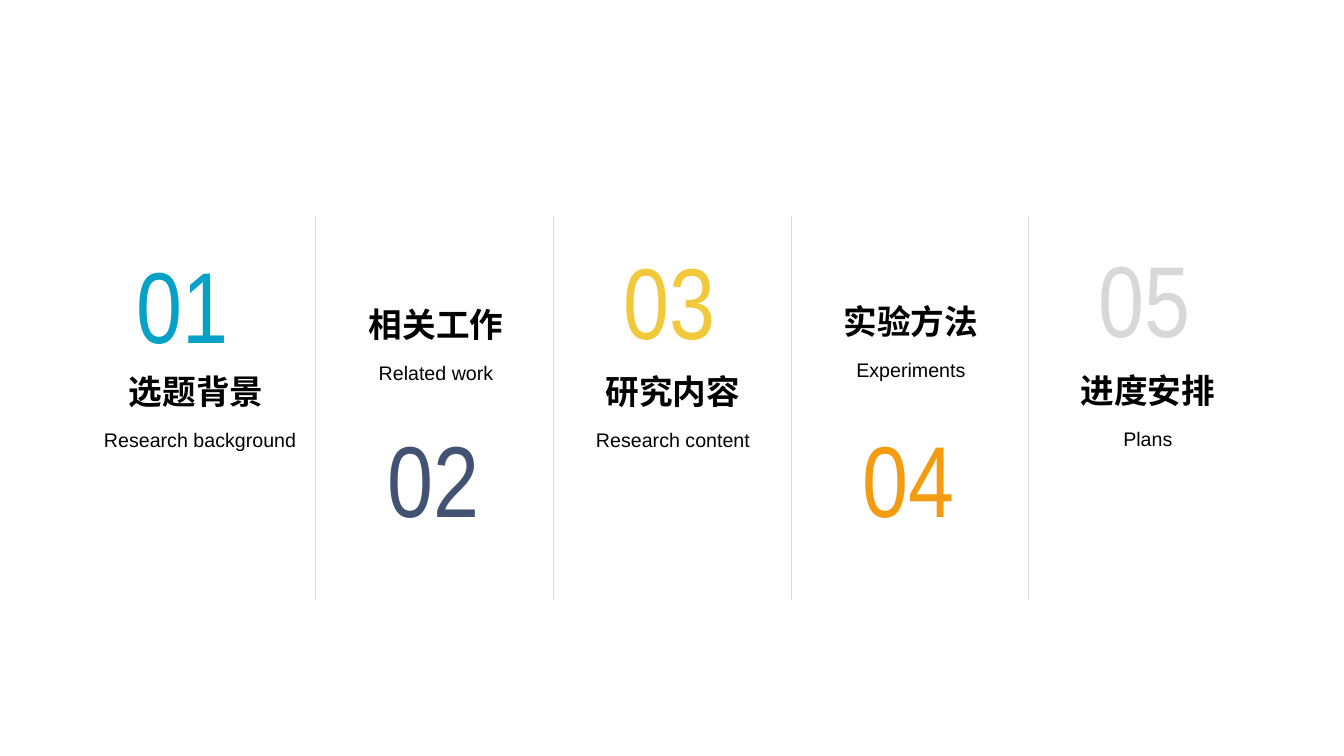
from dataclasses import dataclass

from pptx import Presentation
from pptx.dml.color import RGBColor
from pptx.enum.shapes import MSO_CONNECTOR
from pptx.enum.text import MSO_ANCHOR, PP_ALIGN
from pptx.oxml.ns import qn
from pptx.slide import Slide
from pptx.util import Inches, Pt
from lxml.etree import SubElement

COLORS = {
    "cyan": "06A1C6",
    "navy": "425272",
    "yellow": "F3C93C",
    "orange": "F39C12",
    "silver": "D8D8D8",
    "divider": "D9D9D9",
    "black": "000000",
}

NUMBER_SIZE = 1.73
LABEL_WIDTH = 2.31
HEADING_HEIGHT = 0.42
CAPTION_HEIGHT = 0.61
DIVIDER_COUNT = 4
DIVIDER_FIRST, DIVIDER_LAST = 3.13, 10.2
DIVIDER_TOP, DIVIDER_BOTTOM = 2.14, 5.95


@dataclass(frozen=True)
class Section:
    number: str
    heading: str
    caption: str
    color: str
    number_left: float
    number_top: float
    heading_left: float
    caption_left: float
    heading_top: float


@dataclass(frozen=True)
class TextStyle:
    size: int
    font: str
    anchor: MSO_ANCHOR
    bold: bool = False
    wrap: bool = False
    line_spacing: float = 1.0
    side_margin: float = 0.1
    end_margin: float = 0.05


NUMBER_STYLE = TextStyle(72, "Arial Narrow", MSO_ANCHOR.MIDDLE, side_margin=0, end_margin=0)
HEADING_STYLE = TextStyle(24, "Arial", MSO_ANCHOR.BOTTOM, bold=True)
CAPTION_STYLE = TextStyle(14, "Arial", MSO_ANCHOR.TOP, wrap=True, line_spacing=1.3)

SECTIONS = [
    Section("01", "选题背景", "Research background", "cyan", 0.95, 2.14, 0.79, 0.83, 3.71),
    Section("02", "相关工作", "Related work", "navy", 3.43, 3.87, 3.17, 3.17, 3.04),
    Section("03", "研究内容", "Research content", "yellow", 5.78, 2.1, 5.52, 5.52, 3.71),
    Section("04", "实验方法", "Experiments", "orange", 8.15, 3.87, 7.88, 7.88, 3.01),
    Section("05", "进度安排", "Plans", "silver", 10.49, 2.08, 10.23, 10.23, 3.7),
]


def add_text(slide: Slide, text: str, left: float, top: float, width: float,
             height: float, style: TextStyle, color: str) -> None:
    shape = slide.shapes.add_textbox(Inches(left), Inches(top), Inches(width), Inches(height))
    frame = shape.text_frame
    frame.word_wrap = style.wrap
    frame.vertical_anchor = style.anchor
    frame.margin_left = frame.margin_right = Inches(style.side_margin)
    frame.margin_top = frame.margin_bottom = Inches(style.end_margin)
    paragraph = frame.paragraphs[0]
    paragraph.alignment = PP_ALIGN.CENTER
    paragraph.line_spacing = style.line_spacing
    run = paragraph.add_run()
    run.text = text
    run.font.size = Pt(style.size)
    run.font.name = style.font
    run.font.bold = style.bold
    run.font.color.rgb = RGBColor.from_string(COLORS[color])


def add_section(slide: Slide, section: Section) -> None:
    add_text(slide, section.number, section.number_left, section.number_top,
             NUMBER_SIZE, NUMBER_SIZE, NUMBER_STYLE, section.color)
    add_text(slide, section.caption, section.caption_left, section.heading_top + HEADING_HEIGHT,
             LABEL_WIDTH, CAPTION_HEIGHT, CAPTION_STYLE, "black")
    add_text(slide, section.heading, section.heading_left, section.heading_top,
             LABEL_WIDTH, HEADING_HEIGHT, HEADING_STYLE, "black")


def add_divider(slide: Slide, left: float) -> None:
    connector = slide.shapes.add_connector(
        MSO_CONNECTOR.STRAIGHT, Inches(left), Inches(DIVIDER_TOP),
        Inches(left), Inches(DIVIDER_BOTTOM))
    connector.line.color.rgb = RGBColor.from_string(COLORS["divider"])
    connector.line.width = Pt(0.25)
    SubElement(connector.element.spPr, qn("a:effectLst"))


def main() -> None:
    presentation = Presentation()
    presentation.slide_width = Inches(13.33)
    presentation.slide_height = Inches(7.5)
    slide = presentation.slides.add_slide(presentation.slide_layouts[6])
    divider_step = (DIVIDER_LAST - DIVIDER_FIRST) / (DIVIDER_COUNT - 1)
    for index in range(DIVIDER_COUNT):
        add_divider(slide, DIVIDER_FIRST + index * divider_step)
    for section in SECTIONS:
        add_section(slide, section)
    presentation.save("out.pptx")


if __name__ == "__main__":
    main()
